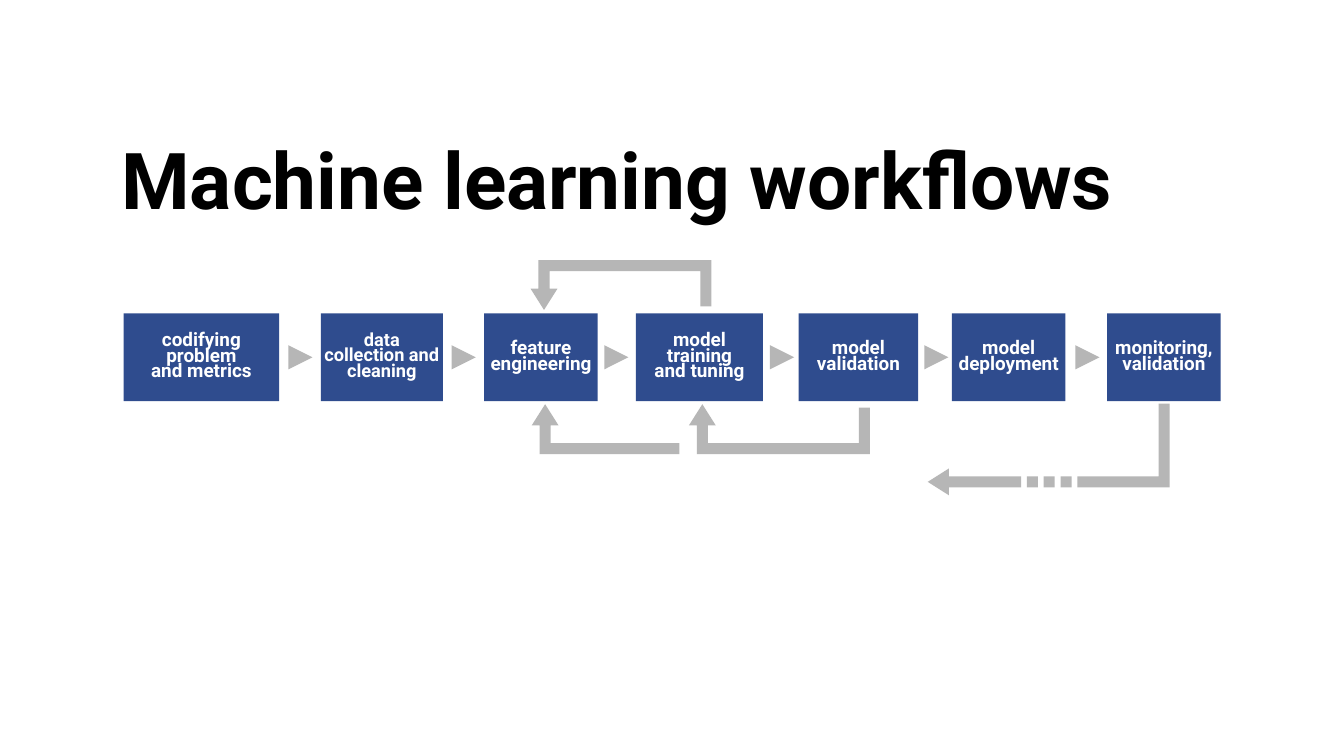
from dataclasses import dataclass

from pptx import Presentation
from pptx.dml.color import RGBColor
from pptx.enum.shapes import MSO_SHAPE
from pptx.enum.text import MSO_ANCHOR, PP_ALIGN
from pptx.util import Inches, Pt


@dataclass(frozen=True)
class Theme:
    font: str = "Roboto"
    ink: str = "000000"
    paper: str = "FFFFFF"
    step: str = "2F4C8E"
    arrow: str = "B6B6B6"
    title: int = 112
    label: int = 27
    small: int = 26


THEME = Theme()
WIDE, HIGH = Inches(26.67), Inches(15)
CELL = WIDE / 100   # square grid: 100 columns across the slide
BAR = 0.82          # thickness of the loop arrows
HEAD = 1.58         # length of an arrowhead, whose half width is 1
TIP = 1.8           # side of the small arrows between steps

# Column in the row, width, type size, paragraphs
STEPS = [
    (0, 11.59, THEME.label, "codifying problem\vand metrics"),
    (14.69, 9.07, THEME.small, "data collection and cleaning"),
    (26.84, 8.44, THEME.label, "feature engineering"),
    (38.13, 9.45, THEME.label, "model training\nand tuning"),
    (50.24, 8.89, THEME.label, "model\nvalidation"),
    (61.64, 8.44, THEME.label, "model\ndeployment"),
    (73.19, 8.44, THEME.label, "monitoring,\nvalidation"),
]
TIPS = [12.26, 24.41, 35.77, 48.1, 59.58, 70.82]


def emu(cells):
    return round(cells * CELL)


def apply(item, style):
    for name, value in style.items():
        setattr(item, name, value)


def paint(shape, color):
    shape.shadow.inherit = False
    shape.fill.solid()
    shape.fill.fore_color.rgb = RGBColor.from_string(color)
    shape.line.fill.background()


def write(shape, text, size, color, style):
    frame = shape.text_frame
    pad = dict.fromkeys(
        [f"margin_{side}" for side in ("left", "top", "right", "bottom")],
        Inches(0.06))
    apply(frame, {"word_wrap": True, "vertical_anchor": MSO_ANCHOR.MIDDLE, **pad})
    frame.text = text
    for para in frame.paragraphs:
        apply(para, style)
        for run in para.runs:
            apply(run.font, {"name": THEME.font, "size": Pt(size), "bold": True})
            run.font.color.rgb = RGBColor.from_string(color)


def outline(slide, left, top, paths):
    """Draw closed paths, given in cells from the box corner, as one shape."""
    first, *rest = [[(emu(left + x), emu(top + y)) for x, y in path]
                    for path in paths]
    pen = slide.shapes.build_freeform(*first[0])
    pen.add_line_segments(first[1:])
    for path in rest:
        pen.move_to(*path[0])
        pen.add_line_segments(path[1:])
    paint(pen.convert_to_shape(), THEME.arrow)


def heading(slide, box):
    shape = slide.shapes.add_textbox(*map(emu, box))
    write(shape, "Machine learning workflows", THEME.title, THEME.ink,
          {"alignment": PP_ALIGN.LEFT})


def flow(slide, box):
    left, top, _, high = box
    # Small arrows between the steps
    for col in TIPS:
        outline(slide, left + col, top + (high - TIP) / 2,
                [[(0, 0), (TIP, TIP / 2), (0, TIP)]])
    # Steps
    for col, wide, size, text in STEPS:
        shape = slide.shapes.add_shape(
            MSO_SHAPE.RECTANGLE, *map(emu, (left + col, top, wide, high)))
        paint(shape, THEME.step)
        write(shape, text, size, THEME.paper,
              {"alignment": PP_ALIGN.CENTER, "line_spacing": 0.7})


def loop(slide, box, tail, up):
    """Arrow back to an earlier step; tail is the length of its far leg."""
    left, top, wide, high = box
    near, far, neck = 1 - BAR / 2, 1 + BAR / 2, high - HEAD
    path = [(near, 0), (near, neck), (0, neck), (1, high), (2, neck),
            (far, neck), (far, BAR), (wide - BAR, BAR),
            (wide - BAR, tail), (wide, tail), (wide, 0)]
    if up:
        path = [(x, high - y) for x, y in path]
    outline(slide, left, top, [path])


def back(slide, box):
    """Broken arrow that leads from the last step to the left."""
    left, top, wide, high = box
    mid = high - 1
    roof, floor = mid - BAR / 2, mid + BAR / 2
    pitch, dash = 1.25, 7.38
    neck, turn = dash - (pitch - BAR), dash + 3 * pitch
    leg = [(wide - BAR, 0), (wide - BAR, roof), (turn, roof),
           (turn, floor), (wide, floor), (wide, 0)]
    point = [(HEAD, mid - 1), (0, mid), (HEAD, mid + 1), (HEAD, floor),
             (neck, floor), (neck, roof), (HEAD, roof)]
    dots = [[(x, roof), (x, floor), (x + BAR, floor), (x + BAR, roof)]
            for x in (dash + i * pitch for i in range(3))]
    outline(slide, left, top, [leg, point, *dots])


def main():
    deck = Presentation()
    apply(deck, {"slide_width": WIDE, "slide_height": HIGH})
    slide = deck.slides.add_slide(deck.slide_layouts[6])
    heading(slide, (8.81, 8.17, 86.13, 10.16))
    flow(slide, (9.19, 23.32, 81.63, 6.52))
    # Loops between modelling steps, then the way back from monitoring
    loop(slide, (39.48, 19.35, 13.46, 3.71), tail=3.45, up=False)
    back(slide, (69.03, 30.03, 18, 6.82))
    loop(slide, (51.26, 30.07, 13.46, 3.71), tail=3.45, up=True)
    loop(slide, (39.56, 30.07, 10.99, 3.71), tail=BAR, up=True)
    deck.save("out.pptx")


if __name__ == "__main__":
    main()
